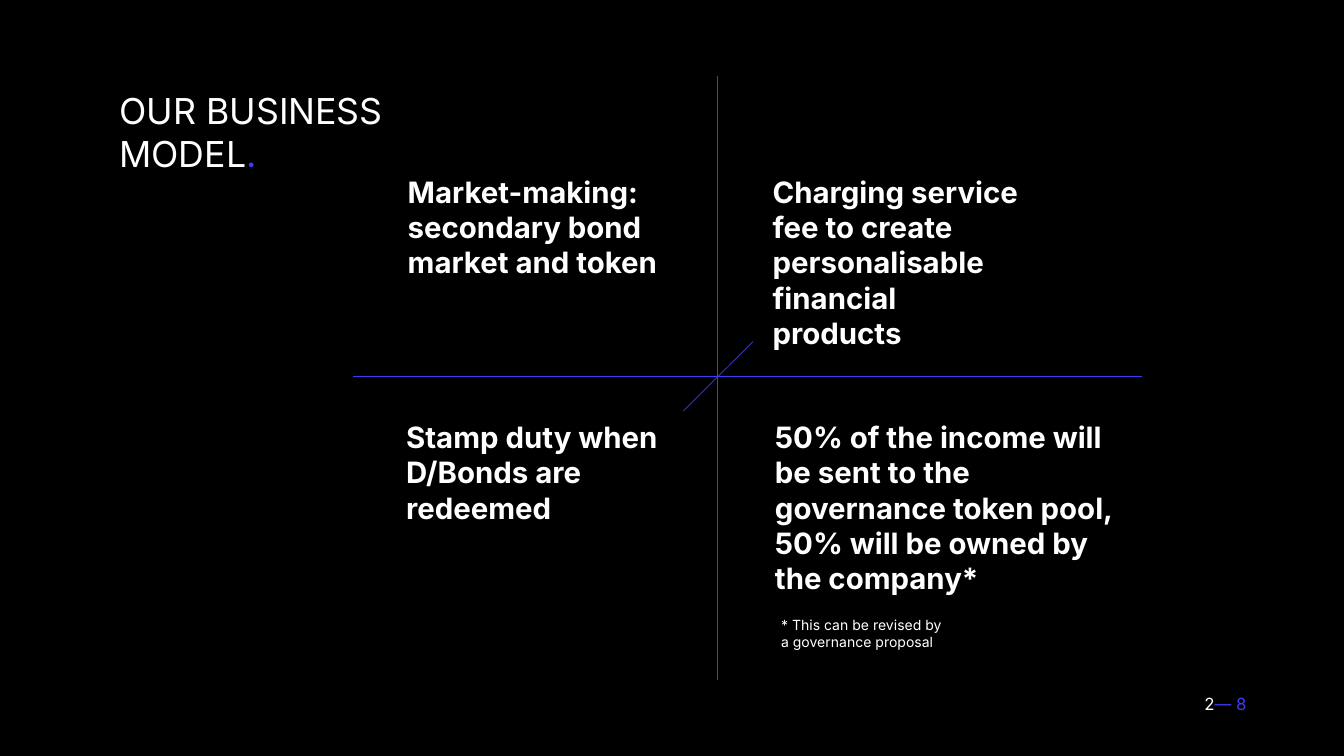
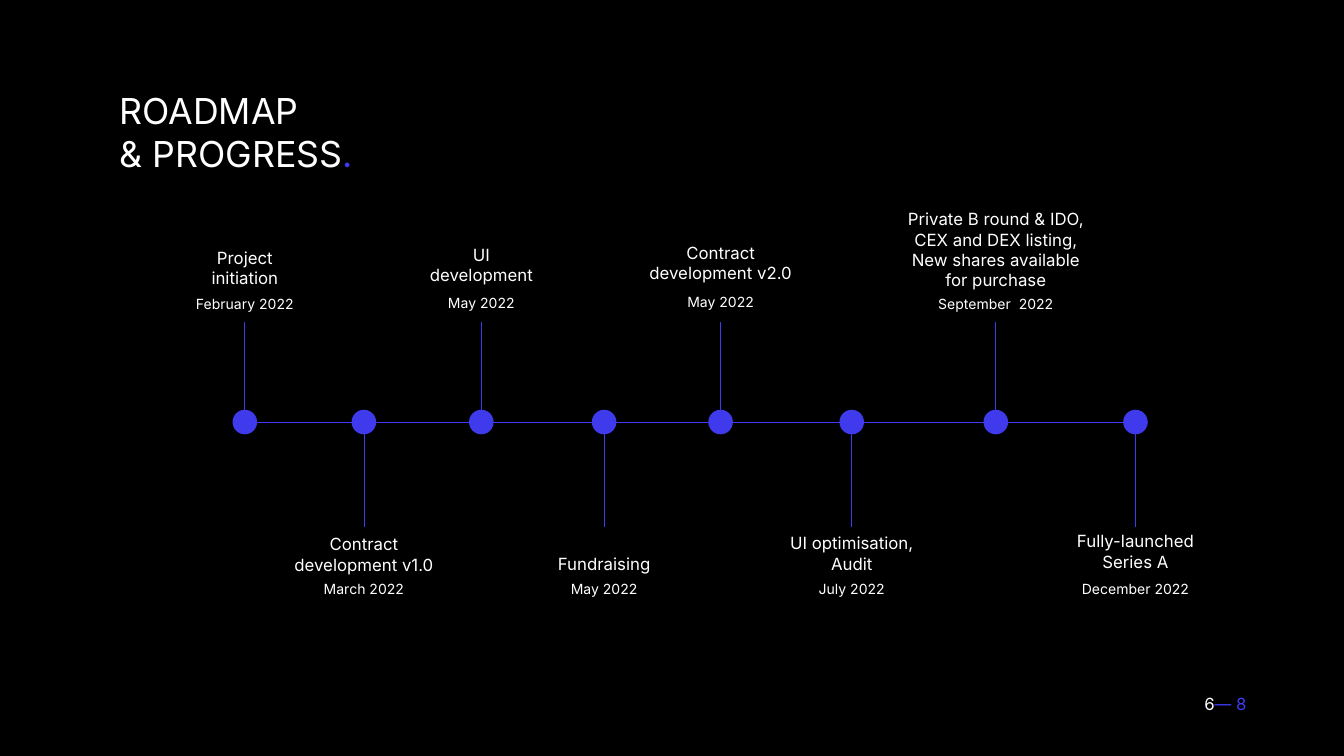
import pptx
import pptx.dml.color
import pptx.enum.shapes
import pptx.enum.text
import pptx.oxml
import pptx.util
from pptx.util import Cm

LEFT = pptx.enum.text.PP_ALIGN.LEFT
CENTER = pptx.enum.text.PP_ALIGN.CENTER
TOP = pptx.enum.text.MSO_ANCHOR.TOP
MIDDLE = pptx.enum.text.MSO_ANCHOR.MIDDLE


def rgb(value):
    return pptx.dml.color.RGBColor.from_string(value)


class Deck:
    """Shared style and the slide being built."""

    font = "Inter"
    black, white = "000000", "FFFFFF"
    accent, node = "403AF4", "3F3AEB"
    total = 8

    def __init__(self):
        self.prs = pptx.Presentation()
        self.prs.slide_width, self.prs.slide_height = Cm(67.74), Cm(38.1)
        fill = self.prs.slide_master.background.fill
        fill.solid()
        fill.fore_color.rgb = rgb(self.black)
        self.s = None

    def slide(self, title, number):
        self.s = self.prs.slides.add_slide(self.prs.slide_layouts[5])
        sp = self.s.shapes.title
        sp.left, sp.top, sp.width, sp.height = Cm(5.87), Cm(4.34), Cm(16.61), Cm(4.62)
        self.set_text(sp, title, 51, anchor=MIDDLE, tail=".")
        self.text(60.45, 34.7, 3.89, 1.55, str(number), 24,
                  inset=0.25, tail=f"— {self.total}")

    def set_text(self, sp, text, size, bold=False, align=LEFT, anchor=TOP,
                 inset=0.15, tail=""):
        """Fill a shape with white text and an optional accent-coloured tail."""
        tf = sp.text_frame
        tf.word_wrap = True
        tf.auto_size = pptx.enum.text.MSO_AUTO_SIZE.NONE
        tf.vertical_anchor = anchor
        tf.margin_left = tf.margin_right = Cm(inset)
        tf.margin_top = tf.margin_bottom = Cm(inset)
        p = tf.paragraphs[0]
        p.alignment = align
        p.font.name, p.font.size, p.font.bold = self.font, pptx.util.Pt(size), bold
        p.font.color.rgb = rgb(self.white)
        for i, line in enumerate(text.split("\n")):
            if i:
                p.add_line_break()
            p.add_run().text = line
        if tail:
            r = p.add_run()
            r.text = tail
            r.font.color.rgb = rgb(self.accent)

    def text(self, x, y, w, h, text, size, **style):
        sp = self.s.shapes.add_textbox(Cm(x), Cm(y), Cm(w), Cm(h))
        self.set_text(sp, text, size, **style)

    def line(self, x1, y1, x2, y2, color, width=1):
        c = self.s.shapes.add_connector(pptx.enum.shapes.MSO_CONNECTOR.STRAIGHT,
                                        Cm(x1), Cm(y1), Cm(x2), Cm(y2))
        c.line.color.rgb = rgb(color)
        c.line.width = pptx.util.Pt(width)
        c.element.spPr.append(pptx.oxml.parse_xml(
            '<a:effectLst xmlns:a="http://schemas.openxmlformats.org/drawingml/2006/main"/>'))

    def dot(self, cx, cy, d):
        sp = self.s.shapes.add_shape(pptx.enum.shapes.MSO_SHAPE.OVAL,
                                     Cm(cx - d / 2), Cm(cy - d / 2), Cm(d), Cm(d))
        sp.shadow.inherit = False
        sp.fill.solid()
        sp.fill.fore_color.rgb = rgb(self.node)
        sp.line.fill.background()


def business_model(deck):
    deck.slide("OUR BUSINESS\nMODEL", 2)

    # Quadrants
    quadrants = [
        (20.32, 20.98, 13.97, 6.05, "Stamp duty when D/Bonds are redeemed"),
        (20.4, 8.61, 13.82, 7.11, "Market-making:\nsecondary bond market and token"),
        (38.79, 8.61, 12.85, 8.05,
         "Charging service fee to create personalisable financial products"),
        (38.91, 20.98, 17.81, 13.39,
         "50% of the income will be sent to the governance token pool, "
         "50% will be owned by the company*"),
    ]
    for x, y, w, h, text in quadrants:
        deck.text(x, y, w, h, text, 42, bold=True)

    # Axes and the diagonal through their crossing
    deck.line(36.17, 34.26, 36.17, 3.84, deck.accent, 0.8)
    deck.line(17.78, 18.97, 57.58, 18.97, deck.accent, 0.8)
    deck.line(34.42, 20.73, 37.95, 17.22, deck.accent)

    # Footnote
    deck.text(39.22, 30.91, 11.68, 2.01,
              "* This can be revised by\na governance proposal", 20, anchor=MIDDLE)


def roadmap(deck):
    deck.slide("ROADMAP\n& PROGRESS", 6)
    axis_y, diameter, stem_start = 21.27, 1.24, 21.89
    stem_ends = (16.21, 26.54)

    # Milestones, alternately above and below the axis:
    # centre, label top, label width, label height, label, date top, date
    milestones = [
        (12.34, 12.32, 4.6, 2.18, "Project\ninitiation", 14.73, "February 2022"),
        (18.34, 26.77, 9.07, 2.18, "Contract\ndevelopment v1.0", 29.11, "March 2022"),
        (24.26, 12.19, 6.25, 2.18, "UI\ndevelopment", 14.68, "May 2022"),
        (30.45, 27.74, 6.25, 1.24, "Fundraising", 29.11, "May 2022"),
        (36.32, 12.09, 8.18, 2.18, "Contract\ndevelopment v2.0", 14.63, "May 2022"),
        (42.93, 26.72, 8.71, 2.18, "UI optimisation,\nAudit", 29.11, "July 2022"),
        (50.19, 10.39, 9.98, 4.34,
         "Private B round & IDO,\nCEX and DEX listing,\nNew shares available for purchase",
         14.73, "September  2022"),
        (57.23, 26.62, 8.71, 2.41, "Fully-launched Series A", 29.11, "December 2022"),
    ]
    for i, (cx, y, w, h, label, date_y, date) in enumerate(milestones):
        deck.dot(cx, axis_y, diameter)
        deck.line(cx, stem_start, cx, stem_ends[i % 2], deck.node)
        deck.text(cx - w / 2, y, w, h, label, 24, align=CENTER)
        deck.text(cx - 3.27, date_y, 6.54, 1.24, date, 20, align=CENTER)

    # Time axis
    deck.line(milestones[0][0], axis_y, 57.86, axis_y, deck.accent)


def main():
    deck = Deck()
    business_model(deck)
    roadmap(deck)
    deck.prs.save("out.pptx")


if __name__ == "__main__":
    main()
